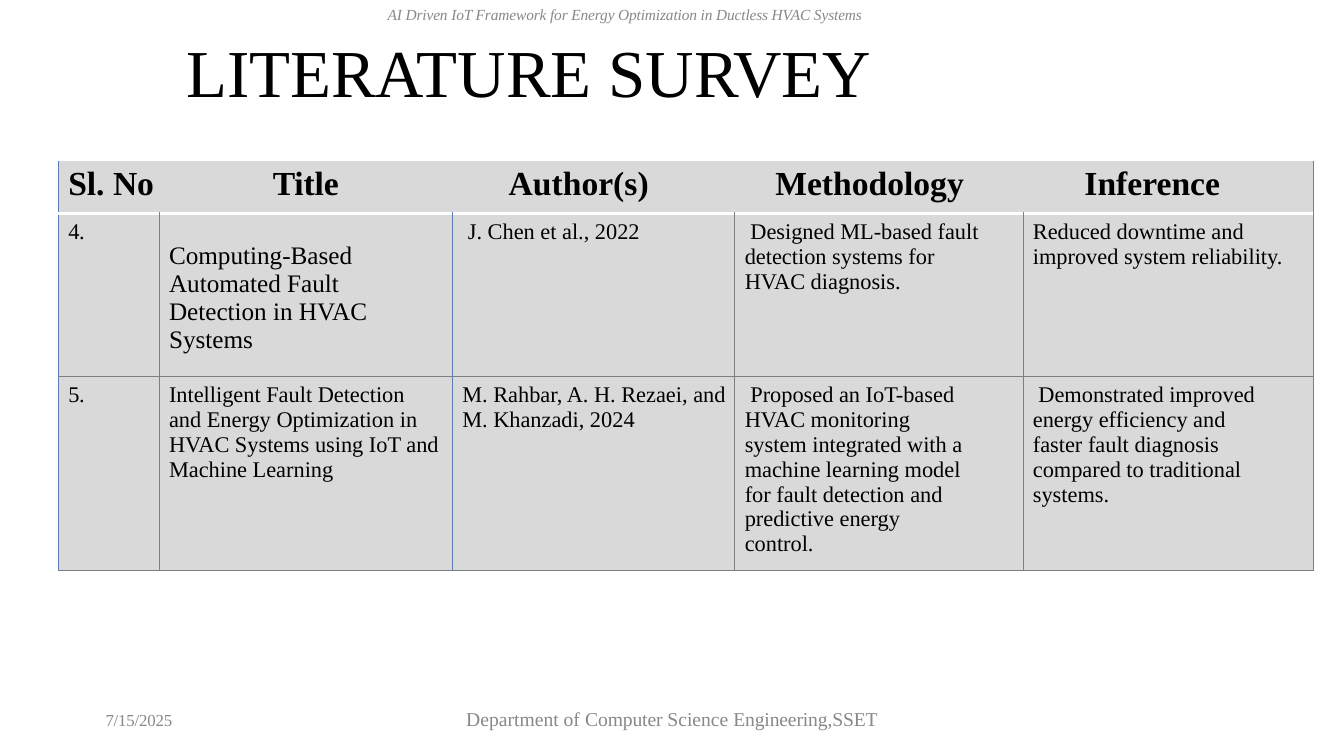
from dataclasses import dataclass

from lxml import etree
from pptx import Presentation
from pptx import util as u
from pptx.dml.color import RGBColor
from pptx.enum import text
from pptx.oxml.ns import qn


@dataclass(frozen=True)
class Theme:
    font: str = "Times New Roman"
    ink: str = "000000"
    muted: str = "888888"
    cell: str = "D9D9D9"
    blue: str = "3B81F3"
    grey: str = "7F7F7F"
    white: str = "FFFFFF"
    title: float = 47.9
    header: float = 24
    large: float = 18
    body: float = 16
    footer: float = 14
    date: float = 12
    running: float = 11


HEADINGS = [  # runs as (text, spacing in 1/100 pt), indent in cm
    ([("Sl. ", 0), ("No", -20)], 0.25),
    ([("Title", -10)], None),
    ([("Author(s)", 0)], 1.42),
    ([("Methodology", 0)], 1.02),
    ([("Inference", 0)], 1.55),
]
PAPERS = [  # text, right indent in cm
    [("4.", 0),
     ("Computing-Based Automated Fault Detection in HVAC Systems", 0),
     (" J. Chen et al., 2022", 0),
     (" Designed ML-based fault detection systems for HVAC diagnosis.", 0.9),
     ("Reduced downtime and improved system reliability.", 0)],
    [("5.", 0),
     ("Intelligent Fault Detection and Energy Optimization in HVAC Systems "
      "using IoT and Machine Learning", 0.28),
     ("M. Rahbar, A. H. Rezaei, and M. Khanzadi, 2024", 0),
     (" Proposed an IoT-based HVAC monitoring system integrated with a machine "
      "learning model for fault detection and predictive energy control.", 1.35),
     (" Demonstrated improved energy efficiency and faster fault diagnosis "
      "compared to traditional systems.", 1.15)],
]
COLUMNS = [2.54, 7.39, 7.12, 7.26, 7.31]
ROWS = [1.33, 4.11, 4.88]


class SlideBuilder:
    def __init__(self, prs, theme):
        self.theme = theme
        self.slide = prs.slides.add_slide(prs.slide_layouts[5])

    def add_runs(self, p, runs, size, color, indent=0.0, bold=False, italic=False):
        if indent:
            p._p.get_or_add_pPr().set("marL", str(u.Cm(indent)))
        for words, spacing in runs:
            r = p.add_run()
            r.text = words
            r.font.name = self.theme.font
            r.font.size = u.Pt(size)
            r.font.bold = bold
            r.font.italic = italic
            r.font.color.rgb = RGBColor.from_string(color)
            if spacing:
                r._r.get_or_add_rPr().set("spc", str(spacing))

    def frame(self, sp, box, top=0.0):
        """Place a text shape and remove its insets, except the top one."""
        sp.left, sp.top, sp.width, sp.height = map(u.Cm, box)
        tf = sp.text_frame
        tf.word_wrap = True
        tf.auto_size = text.MSO_AUTO_SIZE.NONE
        tf.vertical_anchor = text.MSO_ANCHOR.TOP
        tf.margin_left = tf.margin_right = tf.margin_bottom = 0
        tf.margin_top = u.Cm(top)
        return tf.paragraphs[0]

    def title(self, runs, box):
        p = self.frame(self.slide.shapes.title, box, 0.05)
        p.alignment = text.PP_ALIGN.LEFT
        self.add_runs(p, runs, self.theme.title, self.theme.ink, 0.04)

    def label(self, runs, box, size, top=0.0, italic=False):
        sp = self.slide.shapes.add_textbox(*map(u.Cm, box))
        p = self.frame(sp, box, top)
        self.add_runs(p, runs, size, self.theme.muted, 0.04, italic=italic)
        return p

    def borders(self, cell, **sides):
        """Set each side to a (colour, points) pair, or to None for no line."""
        tcPr = cell._tc.get_or_add_tcPr()
        for i, side in enumerate("LRTB"):
            line = sides.get(side)
            ln = etree.Element(qn("a:ln" + side))
            if line:
                ln.set("w", str(u.Pt(line[1])))
                fill = etree.SubElement(ln, qn("a:solidFill"))
                etree.SubElement(fill, qn("a:srgbClr")).set("val", line[0])
            else:
                etree.SubElement(ln, qn("a:noFill"))
            tcPr.insert(i, ln)

    def cell(self, cell, row, col):
        t = self.theme
        cell.fill.solid()
        cell.fill.fore_color.rgb = RGBColor.from_string(t.cell)
        cell.margin_left = cell.margin_right = cell.margin_bottom = 0
        cell.margin_top = u.Cm(0.15 if row else 0.13)
        blue, grey, rule = (t.blue, 0.75), (t.grey, 0.75), (t.white, 2.25)
        p = cell.text_frame.paragraphs[0]
        if row == 0:
            runs, indent = HEADINGS[col]
            if indent is None:
                p.alignment = text.PP_ALIGN.CENTER
            self.add_runs(p, runs, t.header, t.ink, indent or 0, bold=True)
            self.borders(cell, L=None if col else blue, B=rule,
                         R=grey if col == len(COLUMNS) - 1 else None)
            return
        words, right = PAPERS[row - 1][col]
        size, indent = t.body, 0.25
        if (row, col) == (1, 1):
            size, indent = t.large, 0
            cell.vertical_anchor = text.MSO_ANCHOR.MIDDLE
            cell.margin_left, cell.margin_right = u.Cm(0.25), u.Cm(0.3)
        if right:
            p._p.get_or_add_pPr().set("marR", str(u.Cm(right)))
        self.add_runs(p, [(words, 0 if col else -20)], size, t.ink, indent)
        self.borders(cell, L=blue if col in (0, 2) else grey,
                     R=blue if col == 1 else grey,
                     T=rule if row == 1 else grey, B=grey)

    def table(self, left, top):
        shape = self.slide.shapes.add_table(
            len(ROWS), len(COLUMNS), u.Cm(left), u.Cm(top),
            u.Cm(sum(COLUMNS)), u.Cm(sum(ROWS)))
        table = shape.table
        table.horz_banding = False
        for column, width in zip(table.columns, COLUMNS):
            column.width = u.Cm(width)
        for i, height in enumerate(ROWS):
            table.rows[i].height = u.Cm(height)
            for j in range(len(COLUMNS)):
                self.cell(table.cell(i, j), i, j)


def main():
    prs = Presentation()
    prs.slide_width, prs.slide_height = u.Cm(33.87), u.Cm(19.05)
    theme = Theme()
    page = SlideBuilder(prs, theme)
    page.label([("AI Driven IoT Framework for Energy Optimization in Ductless "
                 "HVAC Systems", -10)],
               (9.73, 0.08, 13.13, 0.51), theme.running, 0.05, italic=True)
    page.title([("LITERATURE ", 0), ("SURVEY", -10)], (4.65, 0.71, 17.7, 2.11))
    page.table(1.47, 4.05)
    page.label([("7/15/2025", -10)], (2.62, 17.88, 1.85, 0.51), theme.date)
    p = page.label([("Department of ", 0), ("Computer ", -10), ("Science", 0),
                    (" Engineering,SSET", -10)],
                   (11.71, 17.83, 10.6, 0.56), theme.footer)
    p.line_spacing = u.Pt(16.6)
    prs.save("out.pptx")


if __name__ == "__main__":
    main()
